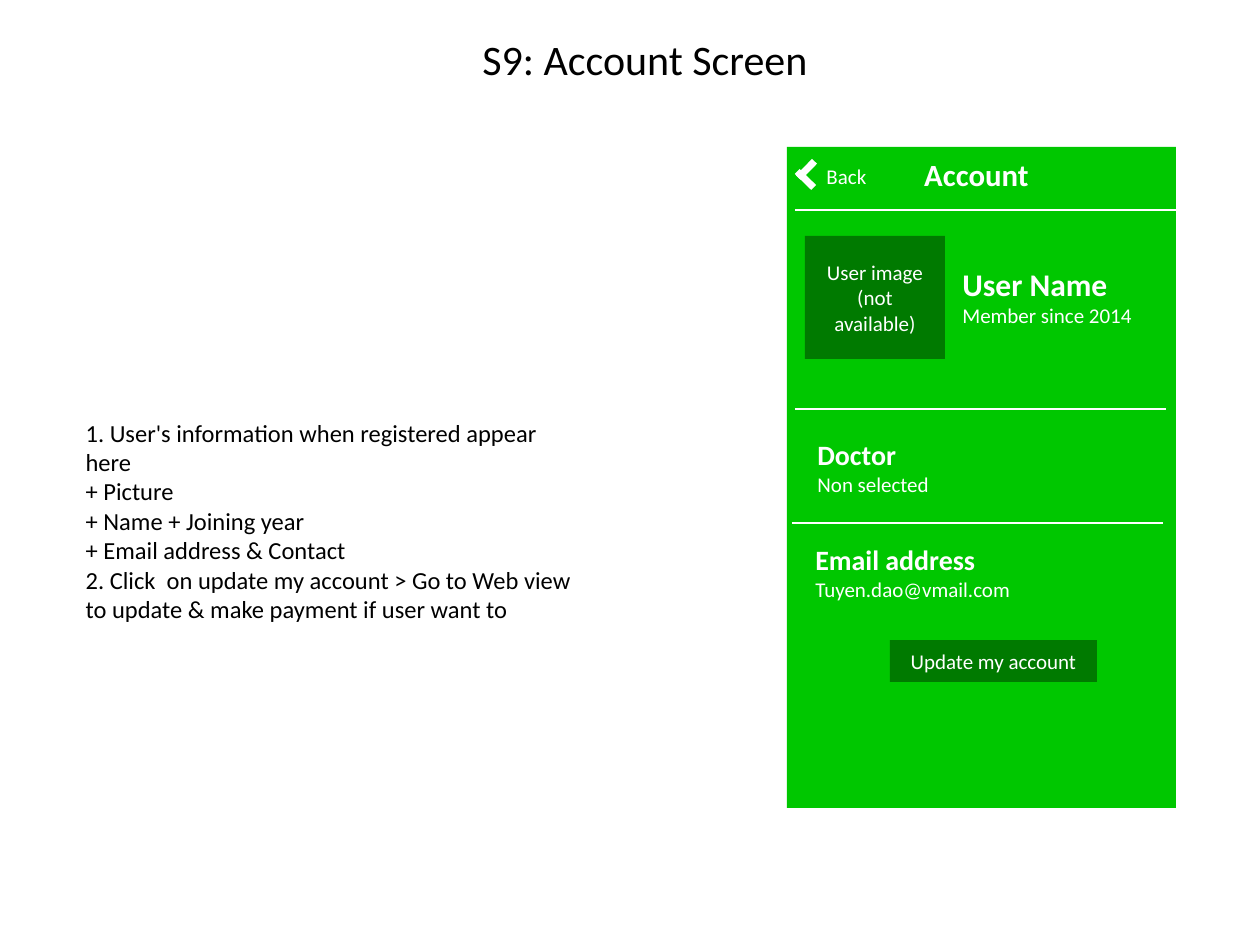
from lxml import etree
from pptx import Presentation, util as u
from pptx.dml.color import RGBColor
from pptx.enum import shapes, text
from pptx.oxml.ns import qn

COLORS = {"screen": "00C700", "button": "007A00", "light": "FFFFFF", "dark": "000000"}
FONT = "Calibri"
LEFT, CENTER = text.PP_ALIGN.LEFT, text.PP_ALIGN.CENTER

TITLE = ("S9: Account Screen", (325, 30, 640, 57))
NOTES = ([
    "1. User's information when registered appear here",
    "+ Picture",
    "+ Name + Joining year",
    "+ Email address & Contact",
    "2. Click  on update my account > Go to Web view to update & make payment if user want to",
], (73, 170, 525, 701))
SCREEN = (787, 147, 389, 661)
DIVIDERS = [(795, 210, 402), (795, 409, 371), (792, 523, 371)]
BACK_ARROW = [((794, 176, 23, 7), 44.3), ((795, 166, 23, 7), 314.3)]
LABELS = [
    ((803, 159, 87, 34), CENTER, [("Back", 12, False)]),
    ((903, 147, 147, 55), CENTER, [("Account", 17.6, True)]),
    ((805, 420, 336, 94), LEFT, [("Doctor", 16, True), ("Non selected", 12, False)]),
    ((803, 525, 336, 94), LEFT, [("Email address", 16, True), ("Tuyen.dao@vmail.com", 12, False)]),
    ((950, 231, 226, 130), LEFT, [("User Name", 18, True), ("Member since 2014", 12, False)]),
]
BLOCKS = [
    ((805, 236, 140, 123), "User image (not available)"),
    ((890, 640, 207, 42), "Update my account"),
]


def px(n):
    return u.Emu(round(n * 914400 / 126))


def place(part, box):
    part.left, part.top, part.width, part.height = map(px, box)


def write(part, lines, align, color):
    frame = part.text_frame
    frame.word_wrap = True
    frame.auto_size = text.MSO_AUTO_SIZE.NONE
    frame.vertical_anchor = text.MSO_ANCHOR.MIDDLE
    for i, (words, size, bold) in enumerate(lines):
        line = frame.paragraphs[0] if i == 0 else frame.add_paragraph()
        line.text = words
        line.alignment = align
        line.space_before = u.Pt(0)
        line.font.name, line.font.size, line.font.bold = FONT, u.Pt(size), bold
        line.font.color.rgb = RGBColor.from_string(COLORS[color])


def add_rect(box, color, rotation=0):
    rect = slide.shapes.add_shape(shapes.MSO_SHAPE.RECTANGLE, *map(px, box))
    rect.shadow.inherit = False
    rect.fill.solid()
    rect.fill.fore_color.rgb = RGBColor.from_string(COLORS[color])
    rect.line.fill.background()
    rect.rotation = rotation
    return rect


deck = Presentation()
deck.slide_width, deck.slide_height = u.Inches(10), u.Inches(7.5)
slide = deck.slides.add_slide(deck.slide_layouts[1])

title, notes = slide.placeholders
place(title, TITLE[1])
write(title, [(TITLE[0], 24, False)], CENTER, "dark")
place(notes, NOTES[1])
write(notes, [(words, 14, False) for words in NOTES[0]], LEFT, "dark")
for item in notes.text_frame.paragraphs:
    props = item._p.get_or_add_pPr()
    props.set("marL", "0")
    props.set("indent", "0")
    bullet = etree.Element(qn("a:buNone"))
    props.find(qn("a:spcBef")).addnext(bullet)

add_rect(SCREEN, "screen")
for x, y, width in DIVIDERS:
    divider = slide.shapes.add_connector(
        shapes.MSO_CONNECTOR.STRAIGHT, px(x), px(y), px(x + width), px(y))
    divider.line.color.rgb = RGBColor.from_string(COLORS["light"])
    divider.line.width = u.Pt(0.75)
    etree.SubElement(divider._element.spPr, qn("a:effectLst"))

for box, angle in BACK_ARROW:
    add_rect(box, "light", angle)
for box, align, lines in LABELS:
    write(slide.shapes.add_textbox(*map(px, box)), lines, align, "light")
for box, words in BLOCKS:
    write(add_rect(box, "button"), [(words, 12, False)], CENTER, "light")

deck.save("out.pptx")
